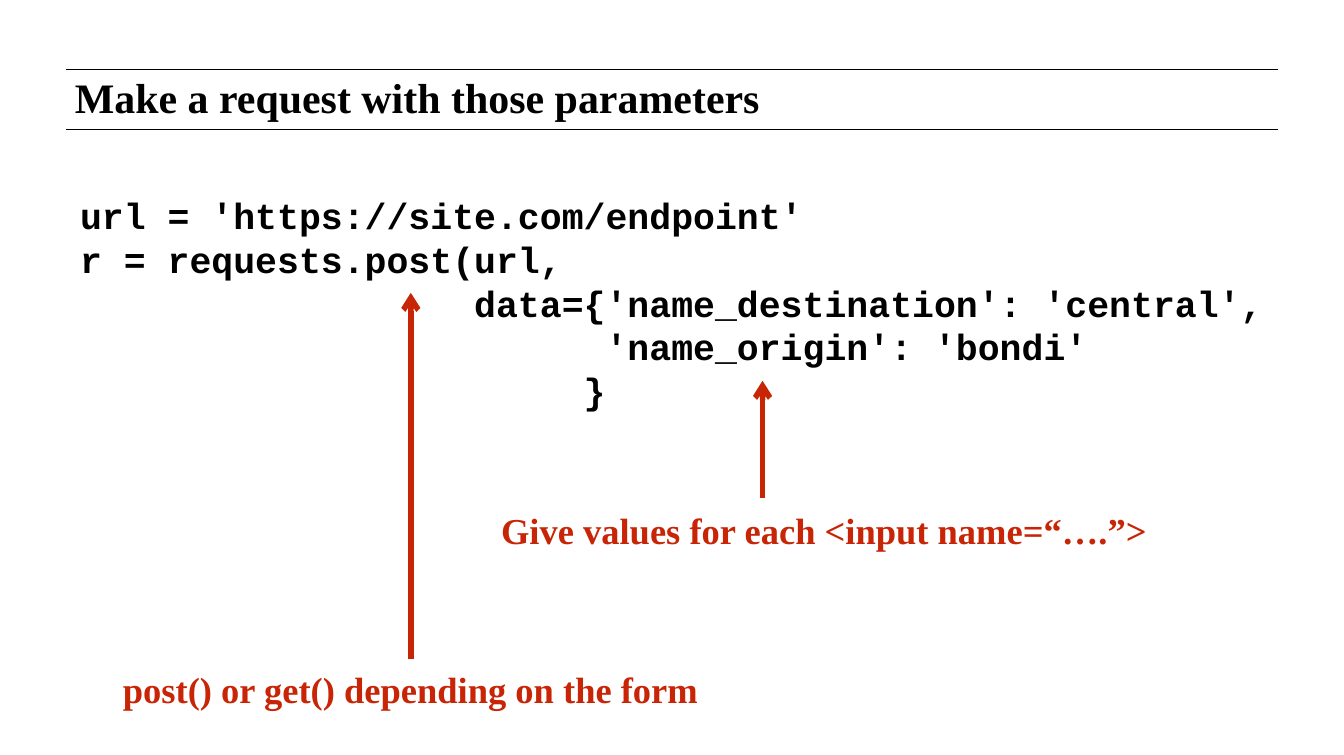
from lxml.etree import SubElement
from pptx import Presentation
from pptx.dml.color import RGBColor
from pptx.enum.shapes import MSO_CONNECTOR as Connector
from pptx.enum.text import MSO_ANCHOR as Anchor, MSO_AUTO_SIZE as AutoSize, PP_ALIGN as Align
from pptx.oxml.ns import qn
from pptx.util import Emu, Pt

PX = 9144
COLORS = {"ink": "000000", "note": "C82506", "paper": "FFFFFF"}
SERIF = "Times New Roman"
MONO = "Courier New"

CODE = """url = 'https://site.com/endpoint'
r = requests.post(url,
                  data={'name_destination': 'central',
                        'name_origin': 'bondi'
                       }"""


def px(value):
    return Emu(value * PX)


def color(name):
    return RGBColor.from_string(COLORS[name])


def place(shape, left, top, width, height):
    shape.left, shape.top = px(left), px(top)
    shape.width, shape.height = px(width), px(height)


def format_text(frame, font_name, size, color_name, align, anchor):
    frame.margin_left = frame.margin_right = px(6)
    frame.margin_top = frame.margin_bottom = px(6)
    frame.vertical_anchor = anchor
    for paragraph in frame.paragraphs:
        paragraph.alignment = align
        for run in paragraph.runs:
            run.font.name = font_name
            run.font.size = Pt(size)
            run.font.bold = True
            run.font.color.rgb = color(color_name)


def fill_placeholder(holder, text, box, font_name, size, leading, indent):
    place(holder, *box)
    frame = holder.text_frame
    frame.text = text
    frame.word_wrap = True
    frame.auto_size = AutoSize.NONE
    for paragraph in frame.paragraphs:
        properties = paragraph._p.get_or_add_pPr()
        properties.set("marL", str(px(indent)))
        properties.set("indent", "0")
        SubElement(properties, qn("a:buNone"))
        paragraph.line_spacing = Pt(leading)
        paragraph.space_before = Pt(0)
    format_text(frame, font_name, size, "ink", Align.LEFT, Anchor.TOP)


def add_line(slide, start, end, color_name, weight):
    line = slide.shapes.add_connector(
        Connector.STRAIGHT, *(px(value) for value in start + end))
    line.line.color.rgb = color(color_name)
    line.line.width = Pt(weight)
    SubElement(line._element.spPr, qn("a:effectLst"))
    return line


def add_arrow(slide, x, bottom, top):
    arrow = add_line(slide, (x, bottom), (x, top), "note", 3)
    SubElement(arrow.line._get_or_add_ln(), qn("a:tailEnd"), type="arrow")


def add_note(slide, text, left, top, width):
    note = slide.shapes.add_textbox(px(left), px(top), px(width), px(45))
    frame = note.text_frame
    frame.text = text
    frame.word_wrap = False
    frame.auto_size = AutoSize.SHAPE_TO_FIT_TEXT
    format_text(frame, SERIF, 20, "note", Align.CENTER, Anchor.MIDDLE)


def main():
    deck = Presentation()
    deck.slide_width, deck.slide_height = px(1024), px(575)
    slide = deck.slides.add_slide(deck.slide_layouts[1])
    slide.background.fill.solid()
    slide.background.fill.fore_color.rgb = color("paper")

    for rule_y in (53, 99):
        add_line(slide, (50, rule_y), (974, rule_y), "ink", 0.5)

    fill_placeholder(slide.shapes.title, "Make a request with those parameters",
                     (51, 55, 861, 52), SERIF, 23, 23, 0)
    fill_placeholder(slide.placeholders[1], CODE,
                     (51, 141, 921, 406), MONO, 20, 24, 4)

    add_arrow(slide, 313, 502, 223)
    add_arrow(slide, 581, 379, 290)
    add_note(slide, "post() or get() depending on the form", 85, 502, 456)
    add_note(slide, "Give values for each <input name=“….”>", 373, 381, 510)

    deck.save("out.pptx")


if __name__ == "__main__":
    main()
